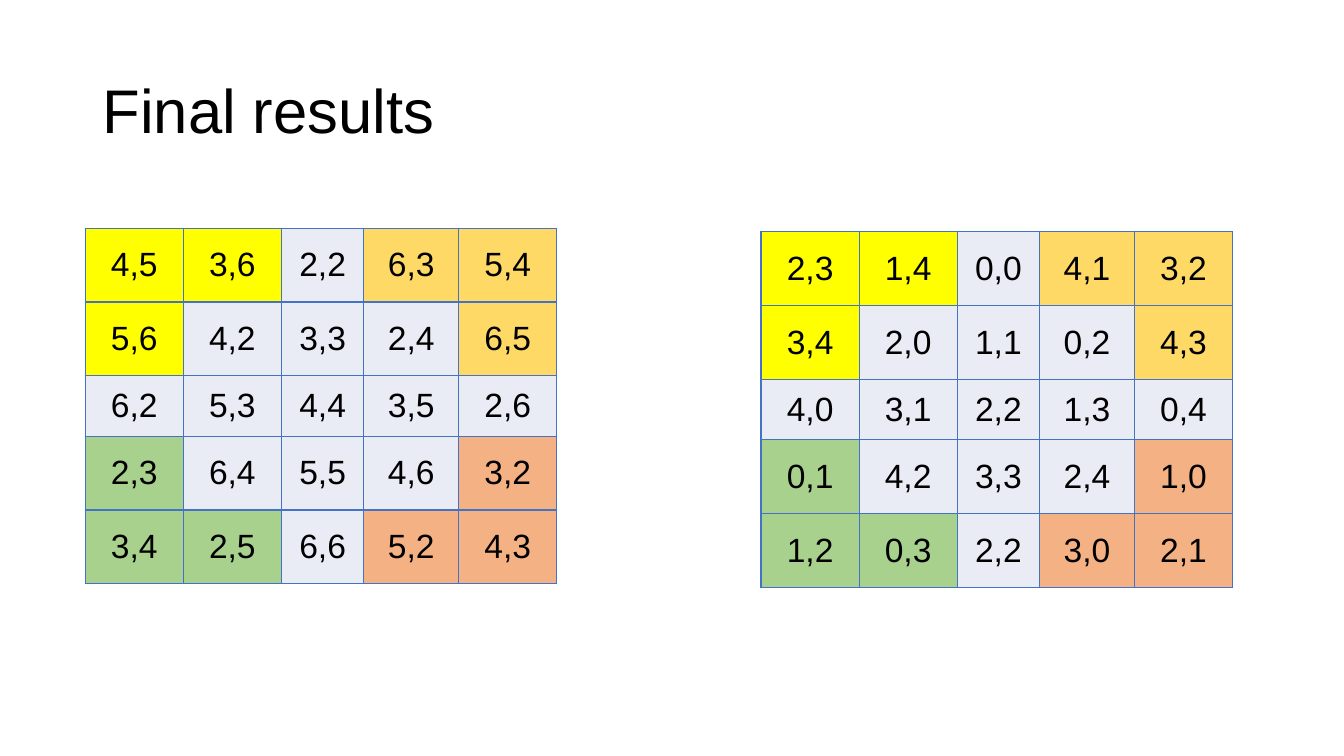
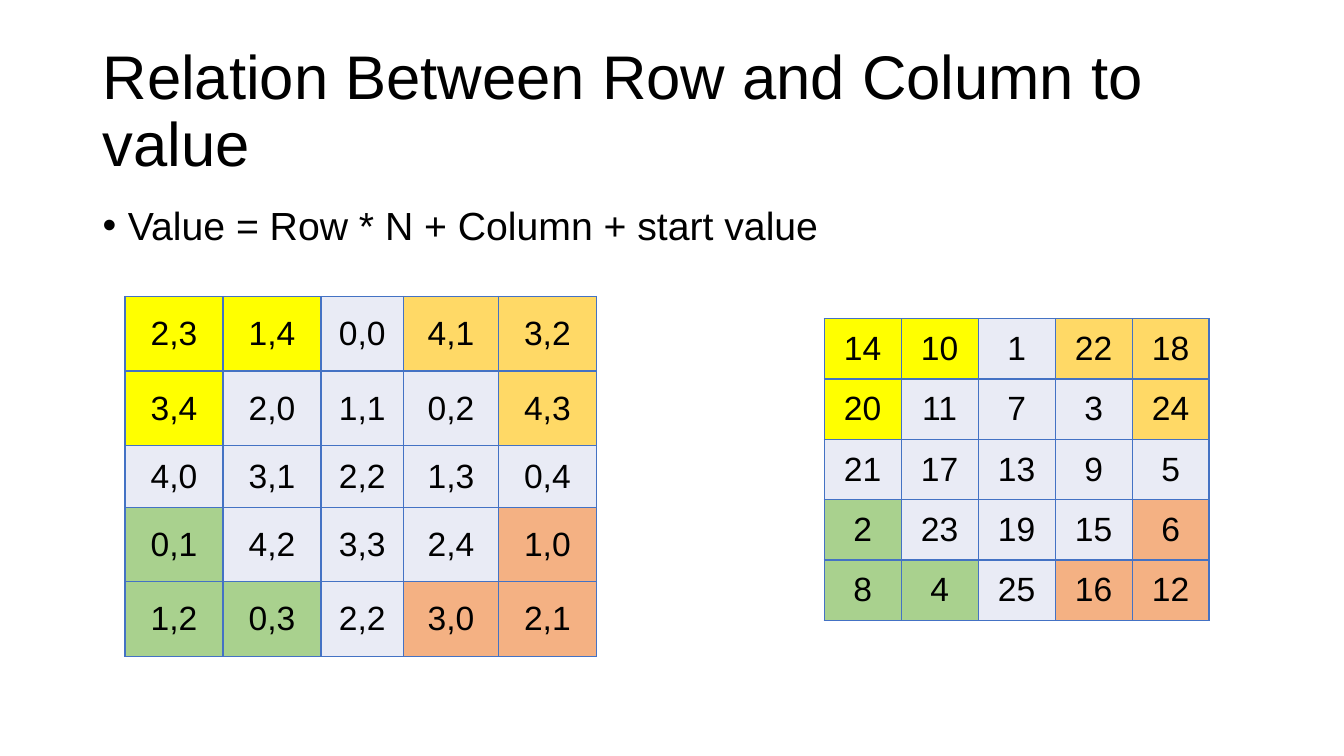
from dataclasses import dataclass

import lxml.etree
import pptx
import pptx.dml.color
import pptx.enum.text
import pptx.oxml.ns
import pptx.util

Cm = pptx.util.Cm
Pt = pptx.util.Pt
RGBColor = pptx.dml.color.RGBColor
PP_ALIGN = pptx.enum.text.PP_ALIGN
MSO_ANCHOR = pptx.enum.text.MSO_ANCHOR
qn = pptx.oxml.ns.qn

FONT = "Arial"
COLORS = {
    "text": "000000",
    "border": "4472C4",
    "yellow": "FFFF00",
    "gold": "FFD966",
    "green": "A9D18E",
    "orange": "F4B183",
    "plain": "E9EBF5",
}
FILL_KEYS = {"Y": "yellow", "D": "gold", "G": "green", "O": "orange", ".": "plain"}
CORNER_PATTERN = ["YY.DD", "Y...D", ".....", "G...O", "GG.OO"]

COORDINATE_COLS = (2.47, 2.47, 2.08, 2.39, 2.47)
ONE_BASED = [
    "4,5 3,6 2,2 6,3 5,4",
    "5,6 4,2 3,3 2,4 6,5",
    "6,2 5,3 4,4 3,5 2,6",
    "2,3 6,4 5,5 4,6 3,2",
    "3,4 2,5 6,6 5,2 4,3",
]
ZERO_BASED = [
    "2,3 1,4 0,0 4,1 3,2",
    "3,4 2,0 1,1 0,2 4,3",
    "4,0 3,1 2,2 1,3 0,4",
    "0,1 4,2 3,3 2,4 1,0",
    "1,2 0,3 2,2 3,0 2,1",
]
VALUES = [
    "14 10 1 22 18",
    "20 11 7 3 24",
    "21 17 13 9 5",
    "2 23 19 15 6",
    "8 4 25 16 12",
]


@dataclass(frozen=True)
class Box:
    left: float
    top: float
    width: float
    height: float


@dataclass(frozen=True)
class Square:
    left: float
    top: float
    cols: tuple[float, ...]
    rows: tuple[float, ...]
    values: list[str]


TITLE_BOX = Box(2.33, 1.01, 29.21, 3.68)
BODY_BOX = Box(2.33, 5.07, 29.21, 1.83)


def coordinate_square(left: float, top: float, tall: float, short: float,
                      values: list[str]) -> Square:
    return Square(left, top, COORDINATE_COLS, (tall, tall, short, tall, tall), values)


def write_text(tf, text: str, *, size: float, align=PP_ALIGN.LEFT,
               line_spacing: float = 1.0, space_before: float = 0):
    p = tf.paragraphs[0]
    p.alignment = align
    p.line_spacing = line_spacing
    p.space_before = Pt(space_before)
    r = p.add_run()
    r.text = text
    r.font.size = Pt(size)
    r.font.name = FONT
    r.font.color.rgb = RGBColor.from_string(COLORS["text"])
    return p


def place(sp, box: Box, anchor) -> None:
    sp.left, sp.top = Cm(box.left), Cm(box.top)
    sp.width, sp.height = Cm(box.width), Cm(box.height)
    sp.text_frame.word_wrap = True
    sp.text_frame.auto_size = pptx.enum.text.MSO_AUTO_SIZE.NONE
    sp.text_frame.vertical_anchor = anchor


def add_title_slide(prs, layout: int, title: str):
    s = prs.slides.add_slide(prs.slide_layouts[layout])
    place(s.shapes.title, TITLE_BOX, MSO_ANCHOR.MIDDLE)
    write_text(s.shapes.title.text_frame, title, size=44, line_spacing=0.9)
    return s


def add_bullet(s, text: str) -> None:
    sp = s.placeholders[1]
    place(sp, BODY_BOX, MSO_ANCHOR.TOP)
    p = write_text(sp.text_frame, text, size=28, line_spacing=0.9, space_before=10)
    pPr = p._p.get_or_add_pPr()
    pPr.set("marL", str(Cm(0.64)))
    pPr.set("indent", str(-Cm(0.64)))
    lxml.etree.SubElement(pPr, qn("a:buFont"), typeface=FONT)
    lxml.etree.SubElement(pPr, qn("a:buChar"), char="•")


def add_borders(cell) -> None:
    tcPr = cell._tc.get_or_add_tcPr()
    for side in ("lnL", "lnR", "lnT", "lnB"):
        ln = lxml.etree.SubElement(tcPr, qn(f"a:{side}"), w=str(Pt(1)))
        fill = lxml.etree.SubElement(ln, qn("a:solidFill"))
        lxml.etree.SubElement(fill, qn("a:srgbClr"), val=COLORS["border"])


def add_square(s, square: Square) -> None:
    frame = s.shapes.add_table(
        len(square.rows), len(square.cols), Cm(square.left), Cm(square.top),
        Cm(sum(square.cols)), Cm(sum(square.rows)))
    table = frame.table
    table.first_row = False
    table.horz_banding = False
    for col, width in zip(table.columns, square.cols):
        col.width = Cm(width)
    for row, height, values, pattern in zip(
            table.rows, square.rows, square.values, CORNER_PATTERN):
        row.height = Cm(height)
        for cell, value, key in zip(row.cells, values.split(), pattern):
            add_borders(cell)
            cell.fill.solid()
            cell.fill.fore_color.rgb = RGBColor.from_string(COLORS[FILL_KEYS[key]])
            cell.vertical_anchor = MSO_ANCHOR.MIDDLE
            write_text(cell.text_frame, value, size=24, align=PP_ALIGN.CENTER)


def main() -> None:
    prs = pptx.Presentation()
    prs.slide_width, prs.slide_height = Cm(33.87), Cm(19.05)

    s = add_title_slide(prs, 5, "Final results")
    add_square(s, coordinate_square(2.15, 5.75, 1.86, 1.52, ONE_BASED))
    add_square(s, coordinate_square(19.18, 5.84, 1.86, 1.52, ZERO_BASED))

    s = add_title_slide(prs, 1, "Relation Between Row and Column to value")
    add_bullet(s, "Value = Row * N + Column + start value")
    add_square(s, coordinate_square(3.15, 7.47, 1.88, 1.55, ZERO_BASED))
    add_square(s, Square(20.77, 8.03, (1.94,) * 5, (1.52,) * 5, VALUES))

    prs.save("out.pptx")


if __name__ == "__main__":
    main()
